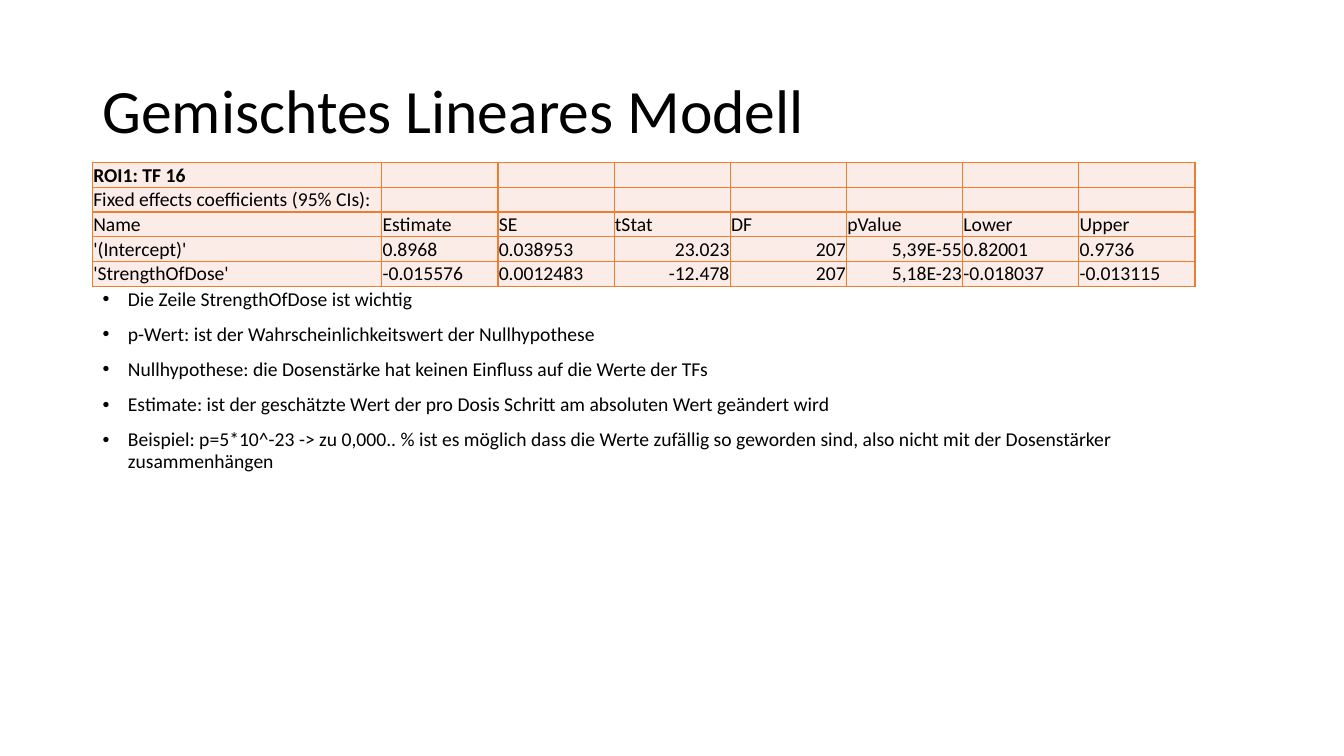
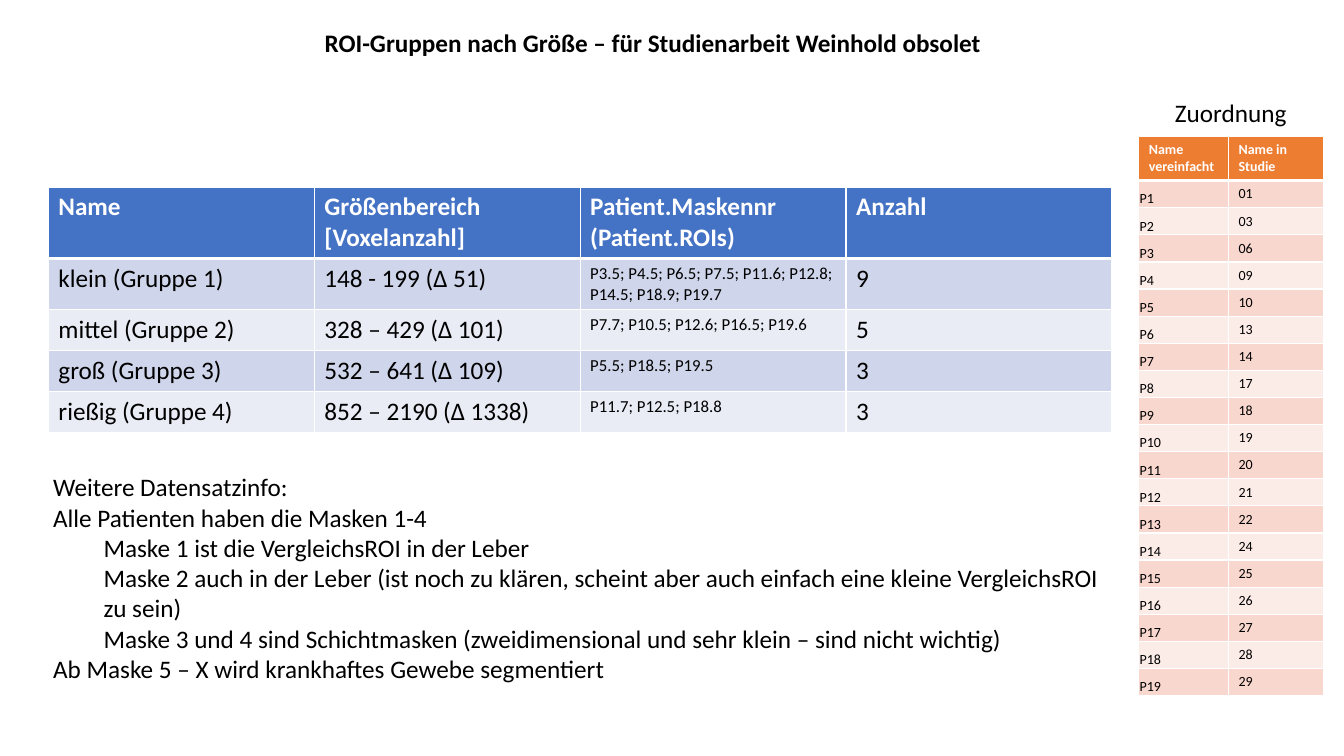
"""Build two slides on a mixed linear model and on ROI groups."""
from dataclasses import dataclass

import lxml.etree
import pptx
import pptx.dml.color
import pptx.enum.text
import pptx.oxml.ns
import pptx.util

Cm = pptx.util.Cm
Pt = pptx.util.Pt
Align = pptx.enum.text.PP_ALIGN
Anchor = pptx.enum.text.MSO_ANCHOR
AutoSize = pptx.enum.text.MSO_AUTO_SIZE
qn = pptx.oxml.ns.qn


@dataclass(frozen=True)
class Theme:
    """Colours, font and type sizes of the deck."""
    font: str = "Calibri"
    ink: str = "000000"
    paper: str = "FFFFFF"
    blue: str = "4472C4"
    blue_bands: tuple = ("CFD5EA", "E9EBF5")
    orange: str = "ED7D31"
    orange_bands: tuple = ("F8D7CE", "FCECE8")
    headline: int = 44
    text: int = 18
    detail: int = 14
    small: int = 12
    tiny: int = 10


@dataclass(frozen=True)
class Box:
    """A region of the slide in centimetres."""
    left: float
    top: float
    width: float
    height: float

    def lengths(self):
        """Return the four sides as lengths."""
        return Cm(self.left), Cm(self.top), Cm(self.width), Cm(self.height)


@dataclass(frozen=True)
class CellStyle:
    """Look of one table cell."""
    fill: str
    line: str
    size: int
    color: str = "000000"
    bold: bool = False
    compact: bool = False
    right: bool = False
    top_line: int = 1
    bottom_line: int = 1


THEME = Theme()
HEADER_LINE = 3


def rgb(value):
    """Turn a hex string into a colour."""
    return pptx.dml.color.RGBColor.from_string(value)


def add_run(paragraph, text, size, color=THEME.ink, bold=False):
    """Add one formatted run to a paragraph."""
    run = paragraph.add_run()
    run.text = text
    run.font.name = THEME.font
    run.font.size = Pt(size)
    run.font.bold = bold
    run.font.color.rgb = rgb(color)


def add_paragraphs(text_frame, count):
    """Return the given number of paragraphs of an empty text frame."""
    return [text_frame.paragraphs[0]] + [text_frame.add_paragraph() for _ in range(count - 1)]


def place(shape, box):
    """Move a shape into its box."""
    shape.left, shape.top, shape.width, shape.height = box.lengths()


def set_title(slide, box, text, size, bold=False, alignment=Align.LEFT):
    """Fill the title placeholder."""
    title = slide.shapes.title
    place(title, box)
    title.text_frame.word_wrap = True
    title.text_frame.auto_size = AutoSize.NONE
    title.text_frame.vertical_anchor = Anchor.MIDDLE
    paragraph = title.text_frame.paragraphs[0]
    paragraph.alignment = alignment
    paragraph.line_spacing = 0.9
    add_run(paragraph, text, size, bold=bold)


def set_bullets(slide, box, items):
    """Fill the body placeholder with a bullet list."""
    body = slide.placeholders[1]
    place(body, box)
    body.text_frame.word_wrap = True
    body.text_frame.auto_size = AutoSize.NONE
    for paragraph, item in zip(add_paragraphs(body.text_frame, len(items)), items):
        paragraph.line_spacing = 0.9
        paragraph.space_before = Pt(10)
        properties = paragraph._p.get_or_add_pPr()
        properties.set("marL", str(Cm(0.64)))
        properties.set("indent", str(-Cm(0.64)))
        lxml.etree.SubElement(properties, qn("a:buChar"), char="•")
        add_run(paragraph, item, THEME.detail)


def add_text(slide, box, lines, wrap=True):
    """Add a text box from pairs of level and text."""
    text_frame = slide.shapes.add_textbox(*box.lengths()).text_frame
    text_frame.word_wrap = wrap
    text_frame.auto_size = AutoSize.SHAPE_TO_FIT_TEXT
    for paragraph, (level, line) in zip(add_paragraphs(text_frame, len(lines)), lines):
        if level:
            paragraph.level = level
            paragraph._p.get_or_add_pPr().set("marL", str(Cm(1.27 * level)))
        add_run(paragraph, line, THEME.text)


def set_borders(cell, style):
    """Draw the four borders of a cell."""
    properties = cell._tc.get_or_add_tcPr()
    widths = {"lnL": 1, "lnR": 1, "lnT": style.top_line, "lnB": style.bottom_line}
    for side, width in widths.items():
        line = lxml.etree.SubElement(properties, qn("a:" + side), w=str(Pt(width)))
        fill = lxml.etree.SubElement(line, qn("a:solidFill"))
        lxml.etree.SubElement(fill, qn("a:srgbClr"), val=style.line)


def fill_cell(cell, text, style):
    """Write and format one cell."""
    set_borders(cell, style)
    cell.fill.solid()
    cell.fill.fore_color.rgb = rgb(style.fill)
    if style.compact:
        cell.vertical_anchor = Anchor.BOTTOM
        cell.margin_left = cell.margin_right = cell.margin_top = Cm(0.02)
        cell.margin_bottom = 0
    paragraph = cell.text_frame.paragraphs[0]
    if style.right:
        paragraph.alignment = Align.RIGHT
    if text:
        add_run(paragraph, text, style.size, style.color, style.bold)
    else:
        lxml.etree.SubElement(paragraph._p, qn("a:endParaRPr"), sz=str(style.size * 100))


def add_grid(slide, box, rows, shares, style_of, has_header=True):
    """Add a table whose columns share the box width."""
    table = slide.shapes.add_table(len(rows), len(shares), *box.lengths()).table
    table.first_row = has_header
    table.horz_banding = False
    for column, share in zip(table.columns, shares):
        column.width = Cm(box.width * share / sum(shares))
    for row_index, values in enumerate(rows):
        table.rows[row_index].height = Cm(box.height / len(rows))
        for column_index, value in enumerate(values):
            style = style_of(row_index, column_index)
            fill_cell(table.cell(row_index, column_index), value, style)


def banded_style(row, accent, bands, size, compact=False):
    """Return the style of a cell below or in a coloured header."""
    if row == 0:
        return CellStyle(accent, THEME.paper, size, THEME.paper, True, bottom_line=HEADER_LINE)
    top_line = HEADER_LINE if row == 1 else 1
    return CellStyle(bands[(row - 1) % 2], THEME.paper, size, compact=compact, top_line=top_line)


def add_coefficients(slide, box):
    """Add the table of fixed effects."""
    rows = [
        ["ROI1: TF 16"] + [""] * 7,
        ["Fixed effects coefficients (95% CIs):"] + [""] * 7,
        ["Name", "Estimate", "SE", "tStat", "DF", "pValue", "Lower", "Upper"],
        ["'(Intercept)'", "0.8968", "0.038953", "23.023", "207", "5,39E-55", "0.82001", "0.9736"],
        ["'StrengthOfDose'", "-0.015576", "0.0012483", "-12.478", "207", "5,18E-23",
         "-0.018037", "-0.013115"],
    ]

    def style_of(row, column):
        """Right-align the numeric columns."""
        return CellStyle(THEME.orange_bands[1], THEME.orange, THEME.detail, bold=row == 0,
                         compact=True, right=row > 2 and 3 <= column <= 5)

    add_grid(slide, box, rows, [2.49] + [1] * 7, style_of, has_header=False)


def add_groups(slide, box):
    """Add the table of ROI groups."""
    rows = [
        ["Name", "Größenbereich [Voxelanzahl]", "Patient.Maskennr (Patient.ROIs)", "Anzahl"],
        ["klein (Gruppe 1)", "148 - 199 (Δ 51)",
         "P3.5; P4.5; P6.5; P7.5; P11.6; P12.8; P14.5; P18.9; P19.7", "9"],
        ["mittel (Gruppe 2)", "328 – 429 (Δ 101)", "P7.7; P10.5; P12.6; P16.5; P19.6", "5"],
        ["groß (Gruppe 3)", "532 – 641 (Δ 109)", "P5.5; P18.5; P19.5", "3"],
        ["rießig (Gruppe 4)", "852 – 2190 (Δ 1338)", "P11.7; P12.5; P18.8", "3"],
    ]

    def style_of(row, column):
        """Set the patient lists smaller."""
        size = THEME.small if row and column == 2 else THEME.text
        return banded_style(row, THEME.blue, THEME.blue_bands, size)

    add_grid(slide, box, rows, [1] * 4, style_of)


def add_assignment(slide, box):
    """Add the table that maps short names to study names."""
    studies = "01 03 06 09 10 13 14 17 18 19 20 21 22 24 25 26 27 28 29".split()
    rows = [["Name vereinfacht", "Name in Studie"]]
    rows += [[f"P{number}", study] for number, study in enumerate(studies, 1)]

    def style_of(row, column):
        """Set the short names tight to the cell edge."""
        return banded_style(row, THEME.orange, THEME.orange_bands, THEME.tiny, column == 0)

    add_grid(slide, box, rows, [0.89, 0.94], style_of)


def build_model_slide(presentation):
    """Build the slide on the mixed linear model."""
    slide = presentation.slides.add_slide(presentation.slide_layouts[1])
    set_title(slide, Box(2.33, 1.01, 29.21, 3.68), "Gemischtes Lineares Modell", THEME.headline)
    set_bullets(slide, Box(2.33, 7.16, 29.21, 10.46), [
        "Die Zeile StrengthOfDose ist wichtig",
        "p-Wert: ist der Wahrscheinlichkeitswert der Nullhypothese",
        "Nullhypothese: die Dosenstärke hat keinen Einfluss auf die Werte der TFs",
        "Estimate: ist der geschätzte Wert der pro Dosis Schritt am absoluten Wert geändert wird",
        "Beispiel: p=5*10^-23 -> zu 0,000.. % ist es möglich dass die Werte zufällig so geworden "
        "sind, also nicht mit der Dosenstärker zusammenhängen",
    ])
    add_coefficients(slide, Box(2.33, 4.1, 27.79, 3.07))


def build_groups_slide(presentation):
    """Build the slide on ROI groups."""
    slide = presentation.slides.add_slide(presentation.slide_layouts[5])
    set_title(slide, Box(6.22, 0.33, 20.47, 1.57),
              "ROI-Gruppen nach Größe – für Studienarbeit Weinhold obsolet",
              THEME.text, bold=True, alignment=Align.CENTER)
    add_groups(slide, Box(1.22, 4.71, 26.8, 5.15))
    add_assignment(slide, Box(28.7, 3.44, 4.65, 13.6))
    add_text(slide, Box(29.36, 2.34, 3.35, 1.02), [(0, "Zuordnung")], wrap=False)
    add_text(slide, Box(1.09, 11.76, 27.05, 5.64), [
        (0, "Weitere Datensatzinfo:"),
        (0, "Alle Patienten haben die Masken 1-4"),
        (1, "Maske 1 ist die VergleichsROI in der Leber"),
        (1, "Maske 2 auch in der Leber (ist noch zu klären, scheint aber auch einfach eine kleine "
            "VergleichsROI zu sein)"),
        (1, "Maske 3 und 4 sind Schichtmasken (zweidimensional und sehr klein – sind nicht wichtig)"),
        (0, "Ab Maske 5 – X wird krankhaftes Gewebe segmentiert"),
    ])


def main():
    """Build and save the presentation."""
    presentation = pptx.Presentation()
    presentation.slide_width = Cm(33.87)
    presentation.slide_height = Cm(19.05)
    build_model_slide(presentation)
    build_groups_slide(presentation)
    presentation.save("out.pptx")


main()
